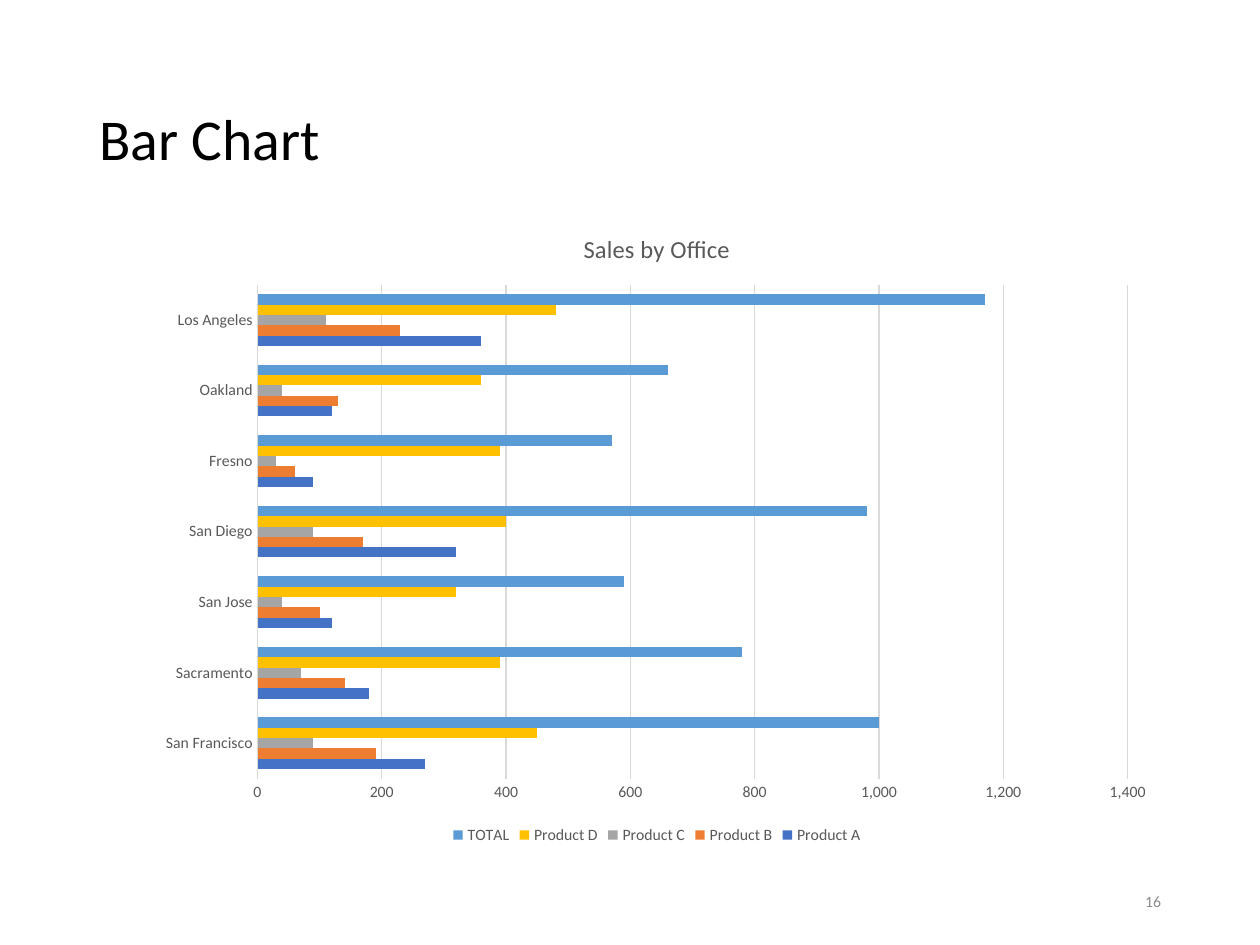
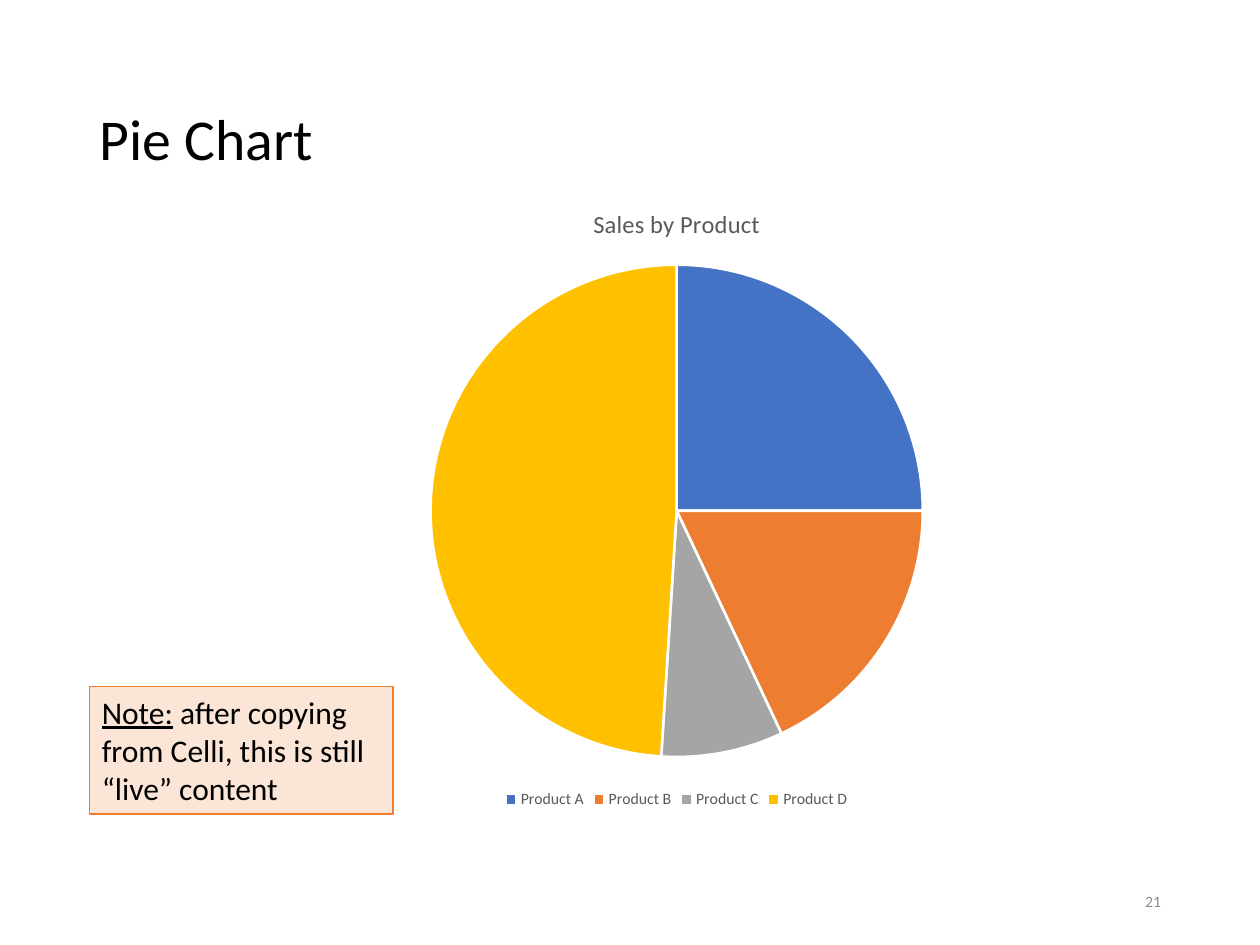
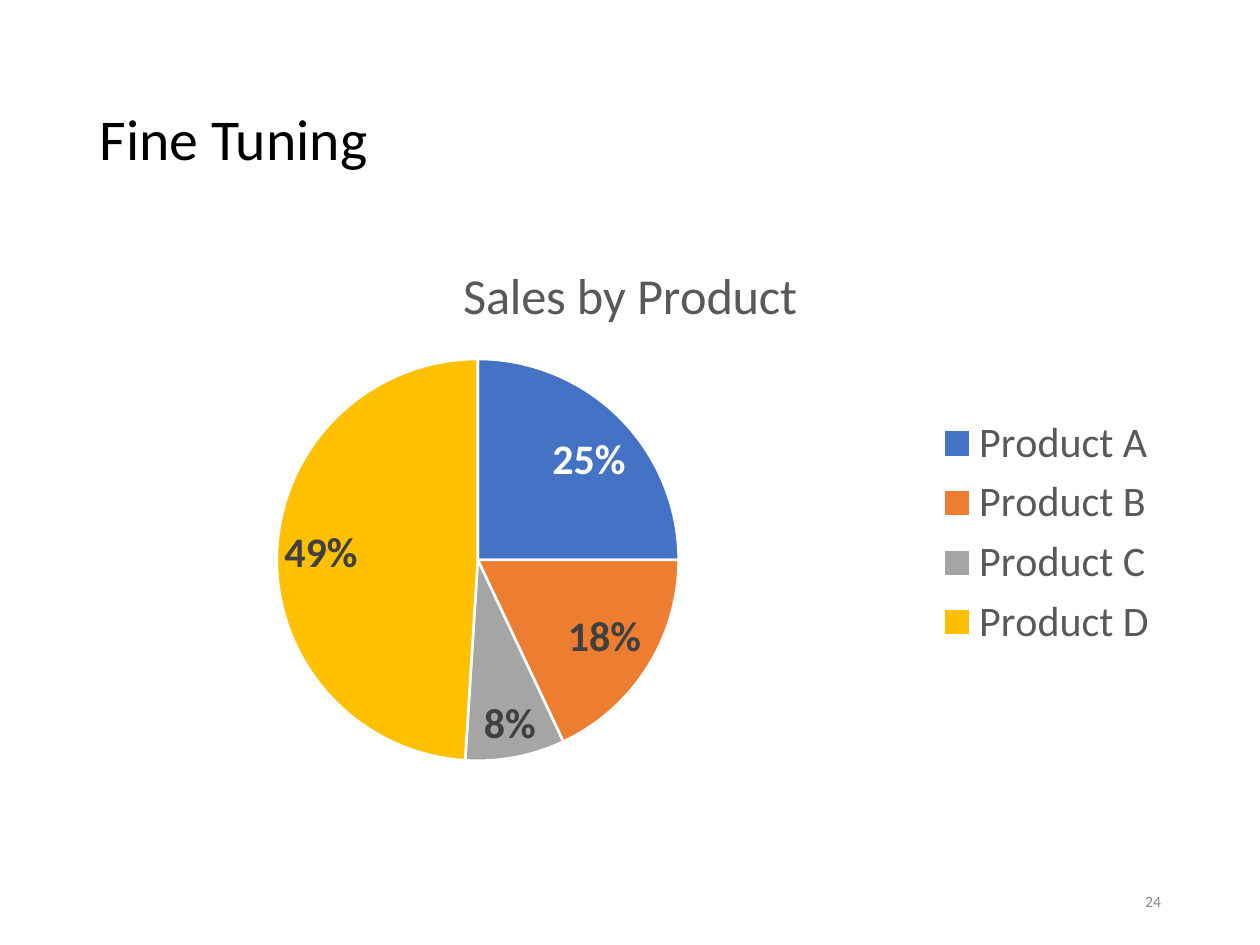
import pptx
import pptx.chart.data
import pptx.dml.color
import pptx.enum.chart
import pptx.enum.shapes
import pptx.enum.text
import pptx.oxml
import pptx.oxml.ns
import pptx.util

Pt = pptx.util.Pt
ALIGN = pptx.enum.text.PP_ALIGN
ANCHOR = pptx.enum.text.MSO_ANCHOR
CHART = pptx.enum.chart.XL_CHART_TYPE
LEGEND = pptx.enum.chart.XL_LEGEND_POSITION
TICK = pptx.enum.chart.XL_TICK_MARK
INSIDE_END = pptx.enum.chart.XL_LABEL_POSITION.INSIDE_END

COLORS = {
    "ink": "000000", "page_number": "8C8C8C", "chart_text": "595959",
    "grid": "D9D9D9", "label": "404040", "white": "FFFFFF",
    "note_fill": "FBE5D6", "Product A": "4472C4", "Product B": "ED7D31",
    "Product C": "A5A5A5", "Product D": "FFC000", "TOTAL": "5B9BD5",
}
PRODUCT_SHARES = {"Product A": 25, "Product B": 18, "Product C": 8,
                  "Product D": 49}
OFFICES = ["San Francisco", "Sacramento", "San Jose", "San Diego",
           "Fresno", "Oakland", "Los Angeles"]
OFFICE_SALES = {
    "Product A": [270, 180, 120, 320, 90, 120, 360],
    "Product B": [190, 140, 100, 170, 60, 130, 230],
    "Product C": [90, 70, 40, 90, 30, 40, 110],
    "Product D": [450, 390, 320, 400, 390, 360, 480],
    "TOTAL": [1000, 780, 590, 980, 570, 660, 1170],
}


class Deck:
    font_name = "Calibri"

    def __init__(self):
        self.presentation = pptx.Presentation()
        self.presentation.slide_width = Pt(720)
        self.presentation.slide_height = Pt(540)
        self.slide = None

    def color(self, key):
        return pptx.dml.color.RGBColor.from_string(COLORS[key])

    def style(self, font, size, color, bold=False):
        font.name = self.font_name
        font.size = Pt(size)
        font.bold = bold
        font.color.rgb = self.color(color)

    def run(self, paragraph, text, size, color):
        run = paragraph.add_run()
        run.text = text
        self.style(run.font, size, color)
        return run

    def text(self, box, text, size, color, align=ALIGN.LEFT, spacing=1.0):
        frame = self.slide.shapes.add_textbox(*map(Pt, box)).text_frame
        frame.word_wrap = True
        frame.vertical_anchor = ANCHOR.MIDDLE
        paragraph = frame.paragraphs[0]
        paragraph.alignment = align
        paragraph.line_spacing = spacing
        self.run(paragraph, text, size, color)

    def new_slide(self, title, number):
        self.slide = self.presentation.slides.add_slide(
            self.presentation.slide_layouts[6])
        self.text((49.8, 28.8, 621, 104.4), title, 33, "ink", spacing=0.9)
        self.text((508.5, 500.5, 162, 28.8), str(number), 9, "page_number",
                  ALIGN.RIGHT)

    def note(self, box, heading, lines):
        note = self.slide.shapes.add_shape(
            pptx.enum.shapes.MSO_SHAPE.RECTANGLE, *map(Pt, box))
        note.shadow.inherit = False
        note.fill.solid()
        note.fill.fore_color.rgb = self.color("note_fill")
        note.line.color.rgb = self.color("Product B")
        note.line.width = Pt(0.75)
        frame = note.text_frame
        frame.word_wrap = False
        frame.auto_size = pptx.enum.text.MSO_AUTO_SIZE.SHAPE_TO_FIT_TEXT
        frame.vertical_anchor = ANCHOR.TOP
        paragraph = frame.paragraphs[0]
        paragraph.alignment = ALIGN.LEFT
        self.run(paragraph, heading, 18, "ink").font.underline = True
        for index, line in enumerate(lines):
            if index:
                paragraph.add_line_break()
            self.run(paragraph, line, 18, "ink")

    def chart(self, kind, box, plot_box, title, categories, series,
              title_size=14, legend_size=9, legend_at=LEGEND.BOTTOM):
        data = pptx.chart.data.CategoryChartData()
        data.categories = categories
        for name, values in series.items():
            data.add_series(name, values)
        chart = self.slide.shapes.add_chart(kind, *map(Pt, box), data).chart
        self.style(chart.font, 10, "ink")
        chart.has_title = True
        self.run(chart.chart_title.text_frame.paragraphs[0], title,
                 title_size, "chart_text")
        chart.chart_title.include_in_layout = False
        chart.has_legend = True
        chart.legend.position = legend_at
        chart.legend.include_in_layout = False
        self.style(chart.legend.font, legend_size, "chart_text")
        plot_area = chart.element.xpath(".//c:plotArea")[0]
        self.place(plot_area, 0, layoutTarget="inner", xMode="edge",
                   yMode="edge", **dict(zip("xywh", plot_box)))
        return chart

    def place(self, parent, position, **settings):
        for layout in parent.xpath("./c:layout"):
            parent.remove(layout)
        items = "".join(f'<c:{tag} val="{value}"/>'
                        for tag, value in settings.items())
        parent.insert(position, pptx.oxml.parse_xml(
            f'<c:layout {pptx.oxml.ns.nsdecls("c")}>'
            f'<c:manualLayout>{items}</c:manualLayout></c:layout>'))

    def bar_chart(self, box, plot_box, title, categories, series):
        chart = self.chart(CHART.BAR_CLUSTERED, box, plot_box, title,
                           categories, series)
        plot = chart.plots[0]
        plot.gap_width = 182
        plot.overlap = 0
        plot.vary_by_categories = False
        for bars in plot.series:
            bars.format.fill.solid()
            bars.format.fill.fore_color.rgb = self.color(bars.name)
        for axis in (chart.category_axis, chart.value_axis):
            axis.major_tick_mark = axis.minor_tick_mark = TICK.NONE
            self.style(axis.tick_labels.font, 9, "chart_text")
        amounts = chart.value_axis
        amounts.minimum_scale = 0
        amounts.maximum_scale = 1400
        amounts.major_unit = 200
        amounts.tick_labels.number_format = "#,##0"
        amounts.tick_labels.number_format_is_linked = False
        amounts.format.line.fill.background()
        for line in (chart.category_axis.format.line,
                     amounts.major_gridlines.format.line):
            line.color.rgb = self.color("grid")
            line.width = Pt(0.75)

    def pie_chart(self, box, plot_box, title, shares, **options):
        chart = self.chart(CHART.PIE, box, plot_box, title, list(shares),
                           {"Series 1": list(shares.values())}, **options)
        chart.plots[0].vary_by_categories = True
        for index, product in enumerate(shares):
            wedge = chart.plots[0].series[0].points[index].format
            wedge.fill.solid()
            wedge.fill.fore_color.rgb = self.color(product)
            wedge.line.color.rgb = self.color("white")
            wedge.line.width = Pt(1.5)
        return chart

    def percent_labels(self, chart, size, adjusted):
        pie = chart.plots[0].series[0]
        labels = pie.data_labels
        labels.show_value = False
        labels.show_percentage = True
        labels.number_format = "0%"
        labels.number_format_is_linked = False
        labels.position = INSIDE_END
        self.style(labels.font, size, "label", bold=True)
        for index, (color, shift_x, shift_y) in adjusted.items():
            label = pie.points[index].data_label
            self.style(label.font, size, color, bold=True)
            label.position = INSIDE_END
            element = chart.element.xpath(
                f".//c:dLbl[c:idx/@val='{index}']")[0]
            self.place(element, 1, x=shift_x, y=shift_y)
            for tag, shown in (("showVal", "0"), ("showPercent", "1")):
                element.xpath(f"./c:{tag}")[0].set("val", shown)


def main():
    deck = Deck()

    deck.new_slide("Bar Chart", 16)
    deck.bar_chart((82.8, 118.8, 585, 366.5), (0.11, 0.12, 0.85, 0.77),
                   "Sales by Office", OFFICES, OFFICE_SALES)

    deck.new_slide("Pie Chart", 21)
    deck.pie_chart((103, 104.4, 567.4, 360.7), (0.25, 0.13, 0.5, 0.78),
                   "Sales by Product", PRODUCT_SHARES)
    deck.note((51.1, 392.4, 173.5, 72.7), "Note:",
              [" after copying", "from Celli, this is still",
               "“live” content"])

    deck.new_slide("Fine Tuning", 24)
    tuned_pie = deck.pie_chart(
        (49.5, 133.2, 621, 342.7), (0.17, 0.21, 0.38, 0.67),
        "Sales by Product", PRODUCT_SHARES,
        title_size=28.8, legend_size=24, legend_at=LEGEND.RIGHT)
    deck.percent_labels(tuned_pie, 24, {0: ("white", 0.01, 0.02),
                                        2: ("label", 0.02, 0)})

    deck.presentation.save("out.pptx")


if __name__ == "__main__":
    main()
